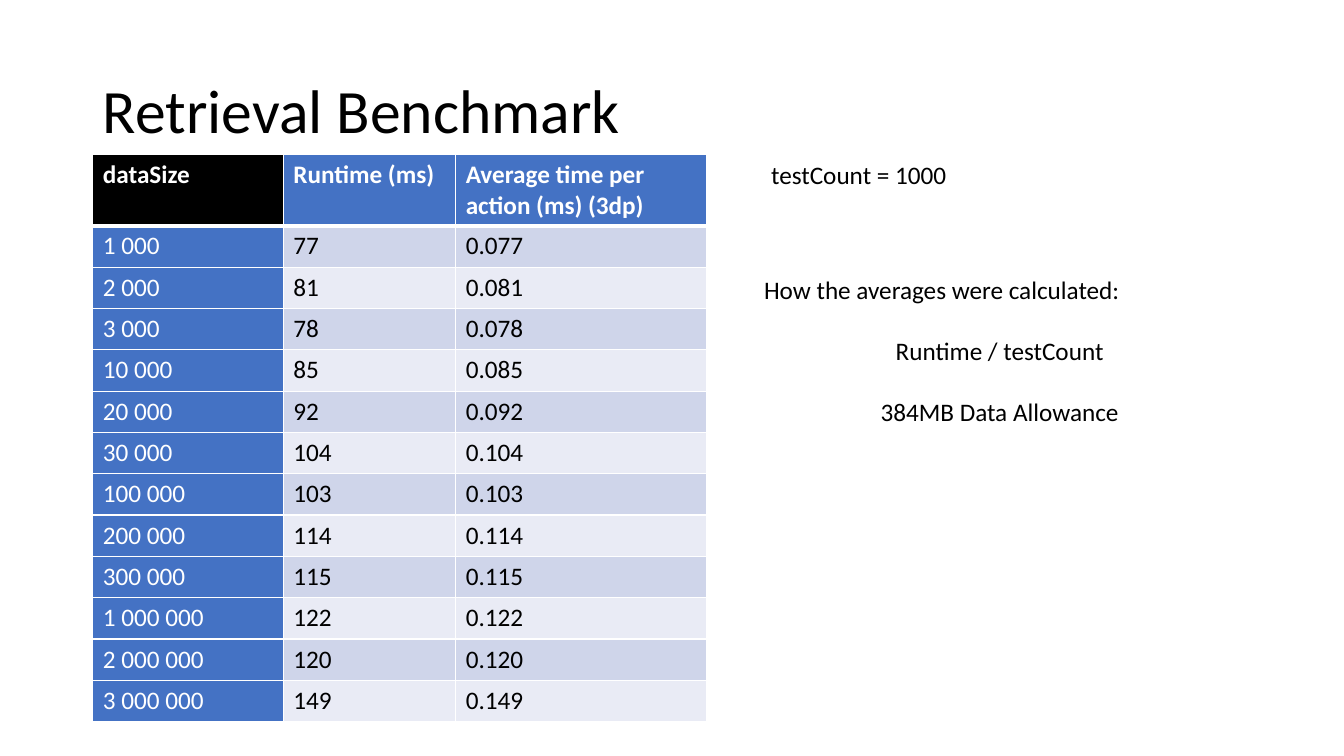
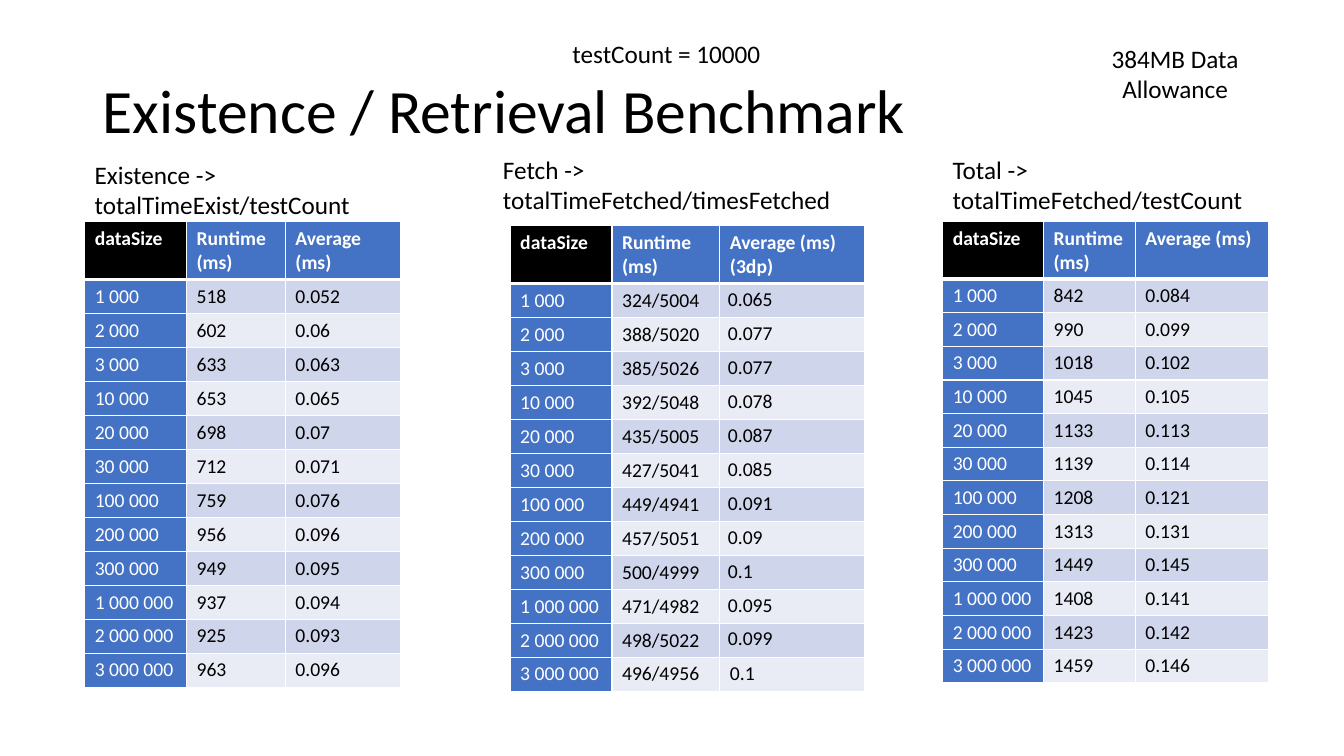
from lxml.etree import SubElement
from pptx import Presentation
from pptx.dml.color import RGBColor
from pptx.enum.text import MSO_ANCHOR, MSO_AUTO_SIZE, PP_ALIGN
from pptx.oxml.ns import qn
from pptx.util import Inches, Pt

COLORS = {
    "text": "000000",
    "light": "FFFFFF",
    "corner": "000000",
    "accent": "4472C4",
    "odd": "CFD5EA",
    "even": "E9EBF5",
}
FONT = "Calibri"
TITLE_ONLY = 5
DATA_SIZES = [f"{factor} {zeros}".strip()
              for zeros, factors in (("000", (1, 2, 3, 10, 20, 30, 100, 200, 300)),
                                     ("000 000", (1, 2, 3)))
              for factor in factors]


def color(name):
    """Return the named palette colour."""
    return RGBColor.from_string(COLORS[name])


def write(frame, *lines, size=18, ink="text", bold=False, align=PP_ALIGN.LEFT,
          gap=0, line_spacing=None):
    """Fill a text frame with one paragraph per line, with gap points between them."""
    for index, line in enumerate(lines):
        paragraph = frame.add_paragraph() if index else frame.paragraphs[0]
        paragraph.alignment = align
        paragraph.space_before = Pt(gap if index else 0)
        if line_spacing:
            paragraph.line_spacing = line_spacing
        run = paragraph.add_run()
        run.text = line
        run.font.name = FONT
        run.font.size = Pt(size)
        run.font.bold = bold
        run.font.color.rgb = color(ink)


def draw_borders(cell, top=1, bottom=1):
    """Give a cell light borders with widths in points."""
    properties = cell._tc.get_or_add_tcPr()
    for side, width in (("L", 1), ("R", 1), ("T", top), ("B", bottom)):
        line = SubElement(properties, qn(f"a:ln{side}"), w=str(Pt(width)))
        fill = SubElement(line, qn("a:solidFill"))
        SubElement(fill, qn("a:srgbClr"), val=COLORS["light"])


class Deck:
    """Holds the presentation, its shared style and the current slide."""

    def __init__(self):
        """Start a widescreen presentation."""
        self.presentation = Presentation()
        self.presentation.slide_width = Inches(13.33)
        self.presentation.slide_height = Inches(7.5)
        self.slide = None

    def add_slide(self, title):
        """Add a slide and format its title placeholder."""
        layout = self.presentation.slide_layouts[TITLE_ONLY]
        self.slide = self.presentation.slides.add_slide(layout)
        shape = self.slide.shapes.title
        shape.left, shape.top = Inches(0.92), Inches(0.4)
        shape.width, shape.height = Inches(11.5), Inches(1.45)
        frame = shape.text_frame
        frame.vertical_anchor = MSO_ANCHOR.MIDDLE
        frame.auto_size = MSO_AUTO_SIZE.NONE
        write(frame, title, size=44, line_spacing=0.9)

    def add_text(self, left, top, width, height, *lines, **style):
        """Add a wrapping text box and return its text frame."""
        shape = self.slide.shapes.add_textbox(
            Inches(left), Inches(top), Inches(width), Inches(height))
        frame = shape.text_frame
        frame.word_wrap = True
        frame.auto_size = MSO_AUTO_SIZE.SHAPE_TO_FIT_TEXT
        write(frame, *lines, **style)
        return frame

    def add_benchmark(self, left, top, height, widths, header_height, row_height,
                      headers, runtimes, averages, size=14):
        """Add a table of results by data size and return it."""
        rows = [headers, *zip(DATA_SIZES, runtimes, averages)]
        shape = self.slide.shapes.add_table(
            len(rows), len(headers), Inches(left), Inches(top),
            Inches(sum(widths)), Inches(height))
        table = shape.table
        for column, width in zip(table.columns, widths):
            column.width = Inches(width)
        for row_index, values in enumerate(rows):
            is_header = row_index == 0
            table.rows[row_index].height = Inches(header_height if is_header else row_height)
            for column_index, value in enumerate(values):
                cell = table.cell(row_index, column_index)
                is_label = is_header or column_index == 0
                if is_label:
                    fill = "corner" if is_header and column_index == 0 else "accent"
                else:
                    fill = "odd" if row_index % 2 else "even"
                draw_borders(cell, top=3 if row_index == 1 else 1,
                             bottom=3 if is_header else 1)
                cell.fill.solid()
                cell.fill.fore_color.rgb = color(fill)
                write(cell.text_frame, value, size=size, bold=is_header,
                      ink="light" if is_label else "text")
        shape.height = Inches(height)
        return table


deck = Deck()

deck.add_slide("Retrieval Benchmark")
retrieval = [77, 81, 78, 85, 92, 104, 103, 114, 115, 122, 120, 149]
deck.add_benchmark(
    0.92, 1.53, 5.57, (1.89, 1.71, 2.49), 0.41, 0.41,
    ("dataSize", "Runtime (ms)", "Average time per action (ms) (3dp)"),
    [str(runtime) for runtime in retrieval],
    [f"{runtime / 1000:.3f}" for runtime in retrieval], size=18)
deck.add_text(7.55, 1.53, 2.17, 0.4, "testCount = 1000")
explanation = deck.add_text(
    7.48, 2.67, 4.87, 1.62, "How the averages were calculated:",
    "Runtime / testCount", "384MB Data Allowance", align=PP_ALIGN.CENTER, gap=22)
explanation.paragraphs[0].alignment = PP_ALIGN.LEFT

deck.add_slide("Existence / Retrieval Benchmark")
deck.add_benchmark(
    0.84, 2.2, 4.57, (1.01, 0.98, 1.14), 0.5, 0.29,
    ("dataSize", "Runtime (ms)", "Average (ms)"),
    "518 602 633 653 698 712 759 956 949 937 925 963".split(),
    "0.052 0.06 0.063 0.065 0.07 0.071 0.076 0.096 0.095 0.094 0.093 0.096".split())
fetch_table = deck.add_benchmark(
    5.06, 2.24, 4.57, (1.01, 1.07, 1.44), 0.5, 0.3,
    ("dataSize", "Runtime (ms)", "Average (ms) (3dp)"),
    ("324/5004 388/5020 385/5026 392/5048 435/5005 427/5041 "
     "449/4941 457/5051 500/4999 471/4982 498/5022 496/4956").split(),
    "0.065 0.077 0.077 0.078 0.087 0.085 0.091 0.09 0.1 0.095 0.099 0.1".split())
for row_number in range(1, len(DATA_SIZES)):
    average_cell = fetch_table.cell(row_number, 2)
    average_cell.margin_left = Inches(0.08)
    average_cell.margin_top = Inches(0.04)
    average_cell.margin_right = Inches(0.01)
    average_cell.margin_bottom = 0
deck.add_text(5.58, 0.33, 2.17, 0.4, "testCount = 10000")
deck.add_text(0.84, 1.53, 3.11, 0.71, "Existence -> totalTimeExist/testCount")
deck.add_text(4.89, 1.48, 3.52, 0.71, "Fetch -> totalTimeFetched/timesFetched")
deck.add_benchmark(
    9.35, 2.2, 4.57, (1, 0.91, 1.32), 0.47, 0.27,
    ("dataSize", "Runtime (ms)", "Average (ms)"),
    "842 990 1018 1045 1133 1139 1208 1313 1449 1408 1423 1459".split(),
    "0.084 0.099 0.102 0.105 0.113 0.114 0.121 0.131 0.145 0.141 0.142 0.146".split())
deck.add_text(9.35, 1.48, 3.52, 0.71, "Total -> totalTimeFetched/testCount")
deck.add_text(10.57, 0.38, 2.17, 0.71, "384MB Data Allowance", align=PP_ALIGN.CENTER)

deck.presentation.save("out.pptx")
